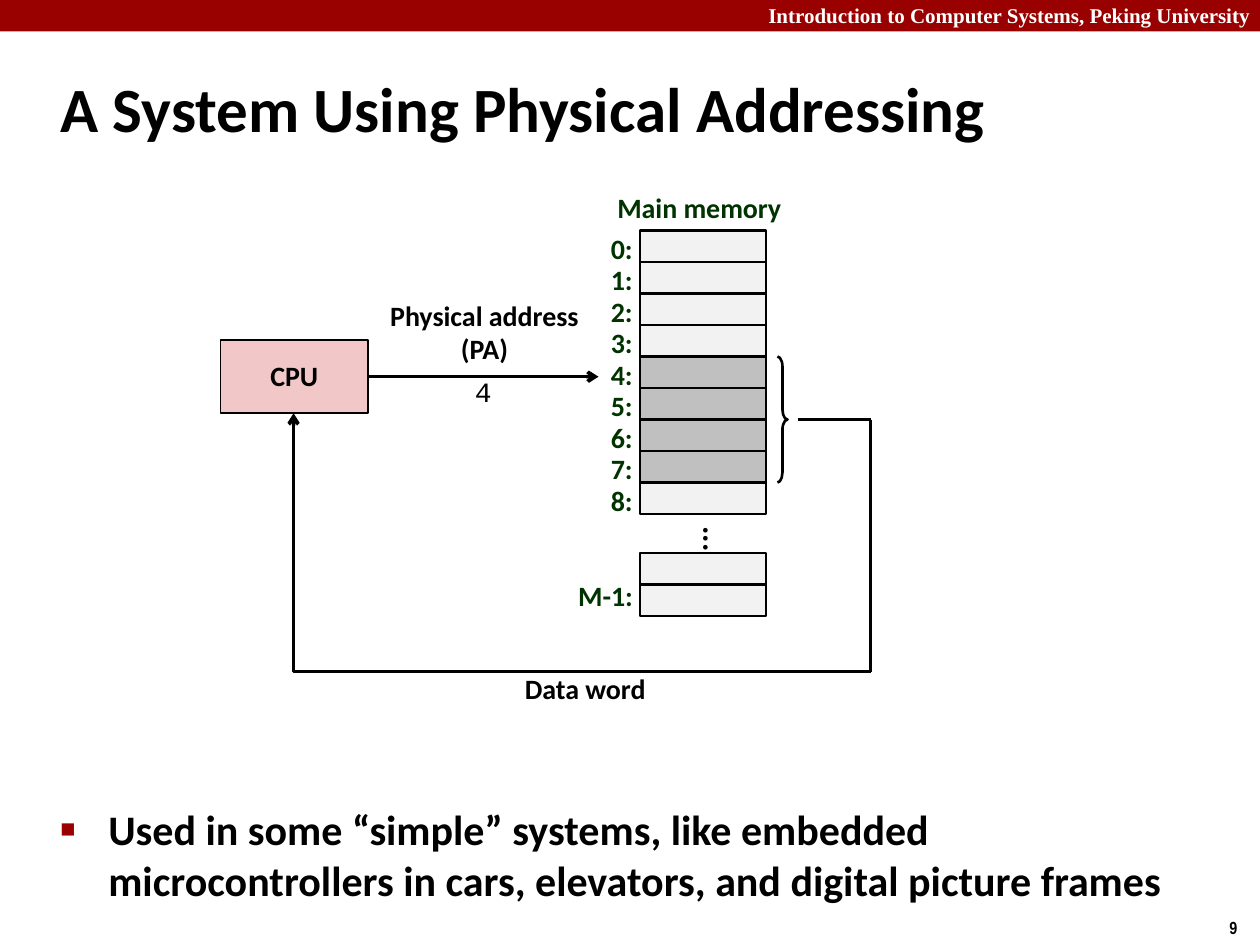
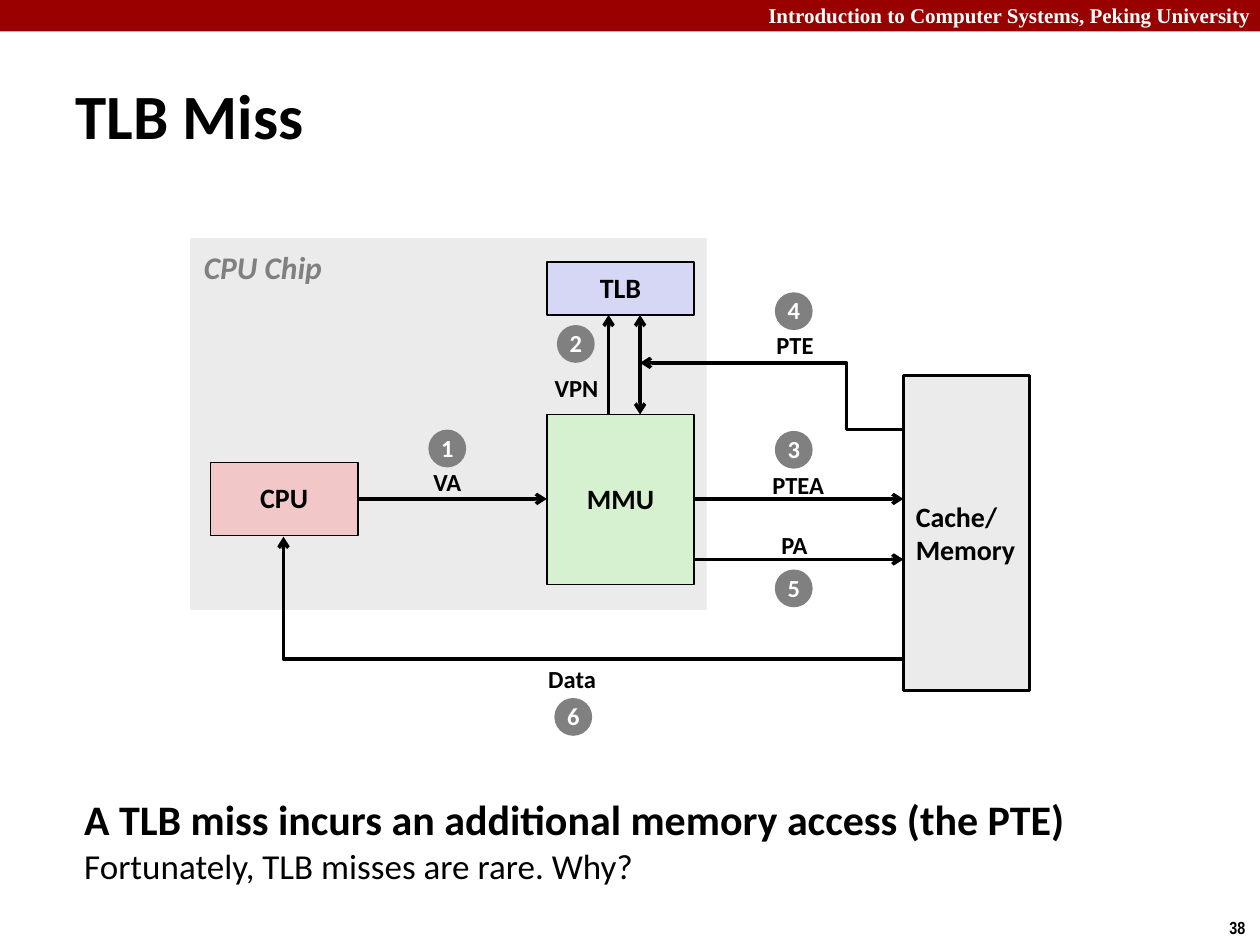
import pptx
import pptx.dml.color
import pptx.enum.shapes
import pptx.enum.text
import pptx.oxml
import pptx.oxml.ns
import pptx.util

RGB = pptx.dml.color.RGBColor
KIND = pptx.enum.shapes.MSO_SHAPE
LINK = pptx.enum.shapes.MSO_CONNECTOR
ALIGN = pptx.enum.text.PP_ALIGN
ANCHOR = pptx.enum.text.MSO_ANCHOR
FIT = pptx.enum.text.MSO_AUTO_SIZE

BLACK = RGB(0x00, 0x00, 0x00)
WHITE = RGB(0xFF, 0xFF, 0xFF)
RED = RGB(0x99, 0x00, 0x00)
GREEN = RGB(0x00, 0x33, 0x00)
GRAY = RGB(0x80, 0x80, 0x80)
PINK = RGB(0xF1, 0xC7, 0xC7)
MINT = RGB(0xD5, 0xF1, 0xCF)
LILAC = RGB(0xD6, 0xD6, 0xF5)
PALE = RGB(0xEB, 0xEB, 0xEB)
CELL = RGB(0xF2, 0xF2, 0xF2)
USED = RGB(0xC0, 0xC0, 0xC0)

SCALE = 9144  # one px is a hundredth of an inch
ROW = 25


def px(*sizes):
    return [pptx.util.Emu(size * SCALE) for size in sizes]


def add_xml(parent, tag, **attrs):
    node = pptx.oxml.parse_xml(f"<a:{tag} {pptx.oxml.ns.nsdecls('a')}/>")
    for key, value in attrs.items():
        node.set(key, value)
    parent.append(node)
    return node


def write(shape, text, size=16, font="Calibri", color=BLACK, bold=True,
          italic=False, align=ALIGN.LEFT, anchor=ANCHOR.TOP, wrap=False,
          lead=None):
    """Fill a shape with text, one paragraph for each line."""
    frame = shape.text_frame
    frame.text = text
    frame.auto_size = FIT.NONE
    frame.word_wrap = wrap
    frame.vertical_anchor = anchor
    for para in frame.paragraphs:
        para.alignment = align
        if lead:
            para.line_spacing = lead
        for run in para.runs:
            run.font.size = pptx.util.Pt(size)
            run.font.name = font
            run.font.color.rgb = color
            run.font.bold = bold
            run.font.italic = italic
    return shape


def label(slide, text, box, **style):
    return write(slide.shapes.add_textbox(*px(*box)), text, **style)


def tag(slide, text, box, size=16):
    """Add a centred caption."""
    return label(slide, text, box, size=size, align=ALIGN.CENTER,
                 anchor=ANCHOR.MIDDLE, lead=0.98)


def block(slide, box, fill=None, line=None, kind=KIND.RECTANGLE):
    shape = slide.shapes.add_shape(kind, *px(*box))
    shape.shadow.inherit = False
    if fill is None:
        shape.fill.background()
    else:
        shape.fill.solid()
        shape.fill.fore_color.rgb = fill
    if line is None:
        shape.line.fill.background()
    else:
        shape.line.color.rgb = BLACK
        shape.line.width = pptx.util.Pt(line)
    return shape


def unit(slide, text, box, fill):
    """Add a named part of the machine."""
    return write(block(slide, box, fill, 1), text, align=ALIGN.CENTER,
                 anchor=ANCHOR.MIDDLE, lead=0.98)


def wire(slide, start, end, head=False, tail=True, kind=LINK.STRAIGHT):
    link = slide.shapes.add_connector(kind, *px(*start, *end))
    link.line.color.rgb = BLACK
    link.line.width = pptx.util.Pt(2)
    line = link.line._get_or_add_ln()
    for name, wanted in (("headEnd", head), ("tailEnd", tail)):
        if wanted:
            add_xml(line, name, type="arrow")
    add_xml(link._element.spPr, "effectLst")
    return link


def elbow(slide, start, end, bend=None):
    """Run left, then up; bend is the share of the width before the turn."""
    props = wire(slide, start, end, kind=LINK.ELBOW)._element.spPr
    frame = props.find(pptx.oxml.ns.qn("a:xfrm"))
    for flip in ("flipH", "flipV"):
        frame.attrib.pop(flip, None)
    frame.set("rot", "10800000")
    shape = props.find(pptx.oxml.ns.qn("a:prstGeom"))
    if bend is None:
        shape.set("prst", "bentConnector2")
    else:
        for old in list(shape):
            shape.remove(old)
        add_xml(add_xml(shape, "avLst"), "gd", name="adj1",
                fmla=f"val {round(bend * 100000)}")


def place(holder, box):
    holder.left, holder.top, holder.width, holder.height = px(*box)
    return holder


def new_slide(deck, layout, title, number, left, top):
    slide = deck.slides.add_slide(deck.slide_layouts[layout])
    block(slide, (0, 0, 1000, 25), RED)
    label(slide, "Introduction to Computer Systems, Peking University",
          (600, -3, 407, 30), size=12, font="Times New Roman", color=WHITE,
          wrap=True)
    label(slide, str(number), (966, 723, 34, 27), size=10,
          font="Arial Narrow")
    write(place(slide.shapes.title, (left, top, 953, 86)), title, size=36,
          anchor=ANCHOR.MIDDLE, wrap=True)
    return slide


def bullet(holder, text):
    write(holder, text, size=24, wrap=True)
    for para in holder.text_frame.paragraphs:
        props = para._p.get_or_add_pPr()
        indent = 38 * SCALE
        props.set("marL", str(indent))
        props.set("indent", str(-indent))
        add_xml(add_xml(props, "buClr"), "srgbClr", val=str(RED))
        add_xml(props, "buSzPct", val="60000")
        add_xml(props, "buChar", char="■")


def memory(slide, x, y):
    style = dict(color=GREEN, lead=0.88)
    label(slide, "Main memory", (x - 29, y - 33, 152, 33),
          align=ALIGN.CENTER, **style)
    for row in range(9):
        top = y + row * ROW
        fill = USED if 4 <= row <= 7 else CELL
        block(slide, (x, top, 100, ROW), fill, 1.5)
        label(slide, f"{row}:", (x - 33, top - 1, 37, 33), **style)
    dots = tag(slide, "...", (x + 9, y + 225, 100, 25), size=18)
    dots.text_frame._txBody.bodyPr.set("vert", "eaVert")
    for top in (y + 256, y + 256 + ROW):
        block(slide, (x, top, 100, ROW), CELL, 1.5)
    label(slide, "M-1:", (x - 59, y + 275, 64, 33), **style)
    brace = block(slide, (x + 109, y + 4 * ROW, 8, 4 * ROW), line=1.5,
                  kind=KIND.RIGHT_BRACE)
    brace.adjustments[0] = 1.0


def fetch(slide, x, y):
    """Draw the processor with its address and data paths."""
    unit(slide, "CPU", (x, y, 117, 58), PINK)
    tag(slide, "Physical address\n(PA)", (x + 124, y - 37, 171, 63))
    label(slide, "4", (x + 192, y + 22, 34, 37), font="Courier New",
          bold=False)
    wire(slide, (x + 117, y + 29), (x + 300, y + 29))
    turn = x + 516
    wire(slide, (x + 458, y + 63), (turn, y + 63), tail=False)
    wire(slide, (turn, y + 63), (turn, y + 263), tail=False)
    elbow(slide, (turn, y + 263), (x + 58, y + 58), bend=1)
    tag(slide, "Data word", (x + 231, y + 259, 117, 37))


def chip(slide, x, y):
    block(slide, (x, y, 410, 295), PALE)
    label(slide, "CPU Chip", (x + 1, y + 3, 116, 40), size=18, color=GRAY,
          italic=True)
    unit(slide, "CPU", (x + 16, y + 178, 117, 58), PINK)
    unit(slide, "TLB", (x + 283, y + 19, 117, 42), LILAC)
    unit(slide, "MMU", (x + 283, y + 140, 117, 135), MINT)
    wire(slide, (x + 133, y + 207), (x + 283, y + 207))
    wire(slide, (x + 332, y + 140), (x + 332, y + 61))
    wire(slide, (x + 357, y + 61), (x + 357, y + 140), head=True)


def cache(slide, x, y):
    """Draw the cache and the paths that join it to the chip on its left."""
    write(block(slide, (x, y, 100, 250), PALE, 1.5), "Cache/\nMemory",
          anchor=ANCHOR.MIDDLE)
    for drop in (98, 146):
        wire(slide, (x - 167, y + drop), (x, y + drop))
    elbow(slide, (x, y + 43), (x - 209, y - 10), bend=0.216)
    elbow(slide, (x, y + 225), (x - 492, y + 128))


def steps(slide, x, y):
    """Number the steps: dot position, then caption and its box."""
    marks = [
        (189, 152, "VA", 183, 178, 42),
        (291, 69, "VPN", 279, 103, 55),
        (464, 153, "PTEA", 452, 180, 61),
        (464, 43, "PTE", 455, 69, 50),
        (464, 263, "PA", 459, 228, 41),
        (289, 365, "Data", 274, 334, 58),
    ]
    for step, (dx, dy, name, left, top, wide) in enumerate(marks, 1):
        tag(slide, name, (x + left, y + top, wide, 33), size=14)
        dot = block(slide, (x + dx, y + dy, 30, 30), GRAY, kind=KIND.OVAL)
        write(dot, str(step), size=14, color=WHITE, align=ALIGN.CENTER,
              anchor=ANCHOR.MIDDLE, lead=0.98)


def physical(deck):
    slide = new_slide(deck, 1, "A System Using Physical Addressing", 9,
                      38, 42)
    bullet(place(slide.placeholders[1], (38, 633, 937, 96)),
           "Used in some “simple” systems, like embedded microcontrollers "
           "in cars, elevators, and digital picture frames")
    memory(slide, 508, 183)
    fetch(slide, 175, 270)


def miss(deck):
    slide = new_slide(deck, 5, "TLB Miss", 38, 50, 48)
    chip(slide, 151, 189)
    cache(slide, 717, 298)
    steps(slide, 151, 189)
    note = label(slide, "A TLB miss incurs an additional memory access "
                 "(the PTE)\nFortunately, TLB misses are rare. Why?",
                 (57, 625, 843, 100), size=24, wrap=True)
    font = note.text_frame.paragraphs[1].runs[0].font
    font.size = pptx.util.Pt(20)
    font.bold = False


def main():
    deck = pptx.Presentation()
    deck.slide_width, deck.slide_height = px(1000, 750)
    physical(deck)
    miss(deck)
    deck.save("out.pptx")


if __name__ == "__main__":
    main()
